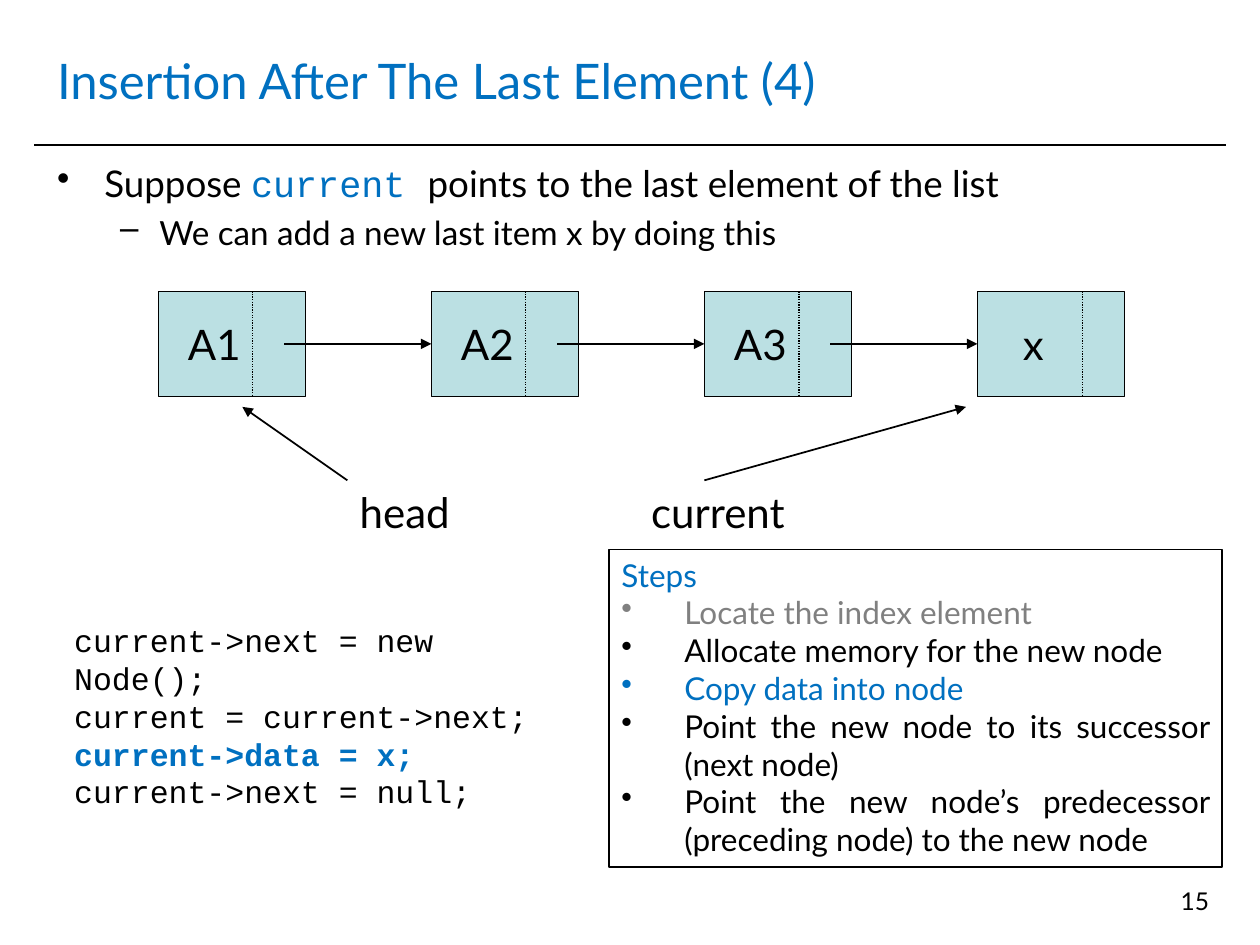
from dataclasses import dataclass

from lxml import etree
from pptx import Presentation
from pptx import util as u
from pptx.dml.color import RGBColor
from pptx.enum import dml, shapes, text
from pptx.oxml.ns import qn


@dataclass(frozen=True)
class Theme:
    ink: str = "000000"
    accent: str = "0070C0"
    muted: str = "808080"
    node: str = "BBE0E3"
    sans: str = "Lato"
    mono: str = "Courier New"
    title: float = 28
    body: float = 21
    sub: float = 19
    label: float = 24
    small: float = 18
    number: float = 14


T = Theme()


def rgb(color):
    return RGBColor.from_string(color)


def write(p, content, size=T.small, font=T.sans, color=T.ink, bold=False, align=None,
          bullet=None, margin=0, hang=0, before=0):
    if align is not None:
        p.alignment = align
    if before:
        p.space_before = u.Pt(before)
    pPr = p._p.get_or_add_pPr()
    if bullet and pPr.find(qn("a:buChar")) is None:
        pPr.set("marL", str(u.Pt(margin)))
        pPr.set("indent", str(-u.Pt(hang)))
        etree.SubElement(pPr, qn("a:buChar")).set("char", bullet)
    r = p.add_run()
    r.text = content
    r.font.size, r.font.name, r.font.bold = u.Pt(size), font, bold
    r.font.color.rgb = rgb(color)


class Deck:
    """Builds slide elements in one theme, with lengths in points."""

    def __init__(self, width, height):
        self.prs = Presentation()
        self.prs.slide_width, self.prs.slide_height = u.Pt(width), u.Pt(height)
        self.s = self.prs.slides.add_slide(self.prs.slide_layouts[6])

    def fill_text(self, tf, paragraphs):
        for i, runs in enumerate(paragraphs):
            p = tf.add_paragraph() if i else tf.paragraphs[0]
            for content, style in runs:
                write(p, content, **style)

    def text_box(self, x, y, w, h, paragraphs, anchor=text.MSO_ANCHOR.TOP, wrap=True,
                 grow=False):
        tf = self.s.shapes.add_textbox(*map(u.Pt, (x, y, w, h))).text_frame
        tf.word_wrap, tf.vertical_anchor = wrap, anchor
        if grow:
            tf.auto_size = text.MSO_AUTO_SIZE.SHAPE_TO_FIT_TEXT
        self.fill_text(tf, paragraphs)

    def box(self, x, y, w, h, paragraphs, fill=None, line=1, anchor=text.MSO_ANCHOR.TOP,
            right=7.2):
        sp = self.s.shapes.add_shape(shapes.MSO_SHAPE.RECTANGLE, *map(u.Pt, (x, y, w, h)))
        sp.shadow.inherit = False
        if fill:
            sp.fill.solid()
            sp.fill.fore_color.rgb = rgb(fill)
        else:
            sp.fill.background()
        sp.line.color.rgb, sp.line.width = rgb(T.ink), u.Pt(line)
        tf = sp.text_frame
        tf.word_wrap, tf.vertical_anchor, tf.margin_right = True, anchor, u.Pt(right)
        self.fill_text(tf, paragraphs)

    def line(self, x1, y1, x2, y2, width=1, dash=None, arrow=False):
        c = self.s.shapes.add_connector(shapes.MSO_CONNECTOR.STRAIGHT,
                                        *map(u.Pt, (x1, y1, x2, y2)))
        c.line.color.rgb, c.line.width = rgb(T.ink), u.Pt(width)
        if dash:
            c.line.dash_style = dash
        if arrow:
            etree.SubElement(c.line._get_or_add_ln(), qn("a:tailEnd")).set("type", "triangle")
        etree.SubElement(c._element.spPr, qn("a:effectLst"))

    def node(self, x, y, w, h, label, split):
        style = dict(size=T.label, align=text.PP_ALIGN.CENTER)
        self.box(x, y, w, h, [[(label, style)]], T.node, 0.75, text.MSO_ANCHOR.MIDDLE, 27.2)
        self.line(x + split, y, x + split, y + h, 0.75, dml.MSO_LINE.ROUND_DOT)


def main():
    d = Deck(720, 540)
    d.line(19.5, 83, 700.5, 83)
    d.text_box(25.5, 15, 669, 61,
               [[("Insertion After The Last Element (4)", dict(size=T.title, color=T.accent))]],
               anchor=text.MSO_ANCHOR.MIDDLE)

    point = dict(size=T.body, bullet="•", margin=27, hang=27, before=4.2)
    sub = dict(size=T.sub, bullet="–", margin=58.5, hang=22.5, before=3.8)
    d.text_box(25.5, 88.5, 669, 65.5, [
        [("Suppose ", point),
         ("current ", dict(point, font=T.mono, color=T.accent)),
         ("points to the last element of the list", point)],
        [("We can add a new last item x by doing this", sub)],
    ])
    d.text_box(530, 502.5, 168, 37.5,
               [[("15", dict(size=T.number, align=text.PP_ALIGN.RIGHT))]])

    code = [("current->next = new Node();", {}), ("current = current->next;", {}),
            ("current->data = x;", dict(color=T.accent, bold=True)),
            ("current->next = null;", {})]
    d.text_box(35.3, 351.5, 289.5, 116.5,
               [[(c, dict(style, font=T.mono))] for c, style in code], grow=True)

    steps = [("Locate the index element", T.muted),
             ("Allocate memory for the new node", T.ink),
             ("Copy data into node", T.accent),
             ("Point the new node to its successor (next node)", T.ink),
             ("Point the new node’s predecessor (preceding node) to the new node", T.ink)]
    item = dict(bullet="•", margin=36, hang=36, align=text.PP_ALIGN.JUSTIFY)
    d.box(348, 314, 350.5, 181.5,
          [[("Steps", dict(color=T.accent, align=text.PP_ALIGN.LEFT))]]
          + [[(c, dict(item, color=color))] for c, color in steps])

    left, top, w, h, pitch = 90.5, 166.5, 84, 60, 156
    labels = ["A1", "A2", "A3", "x"]
    lefts = [left + i * pitch for i in range(len(labels))]
    for x, label in zip(lefts, labels):
        d.node(x, top, w, h, label, 60 if label == "x" else 54)
    for x, target in zip(lefts, lefts[1:]):
        d.line(x + 72, top + h / 2, target, top + h / 2, arrow=True)

    pointers = [("head", 198.5, 67, 198.5, 138.5), ("current", 365, 91, 402.5, 552)]
    for name, x, width, start, end in pointers:
        d.text_box(x, 274.5, width, 36, [[(name, dict(size=T.label))]], wrap=False, grow=True)
        d.line(start, 274.5, end, 232.5, arrow=True)

    d.prs.save("out.pptx")


if __name__ == "__main__":
    main()
